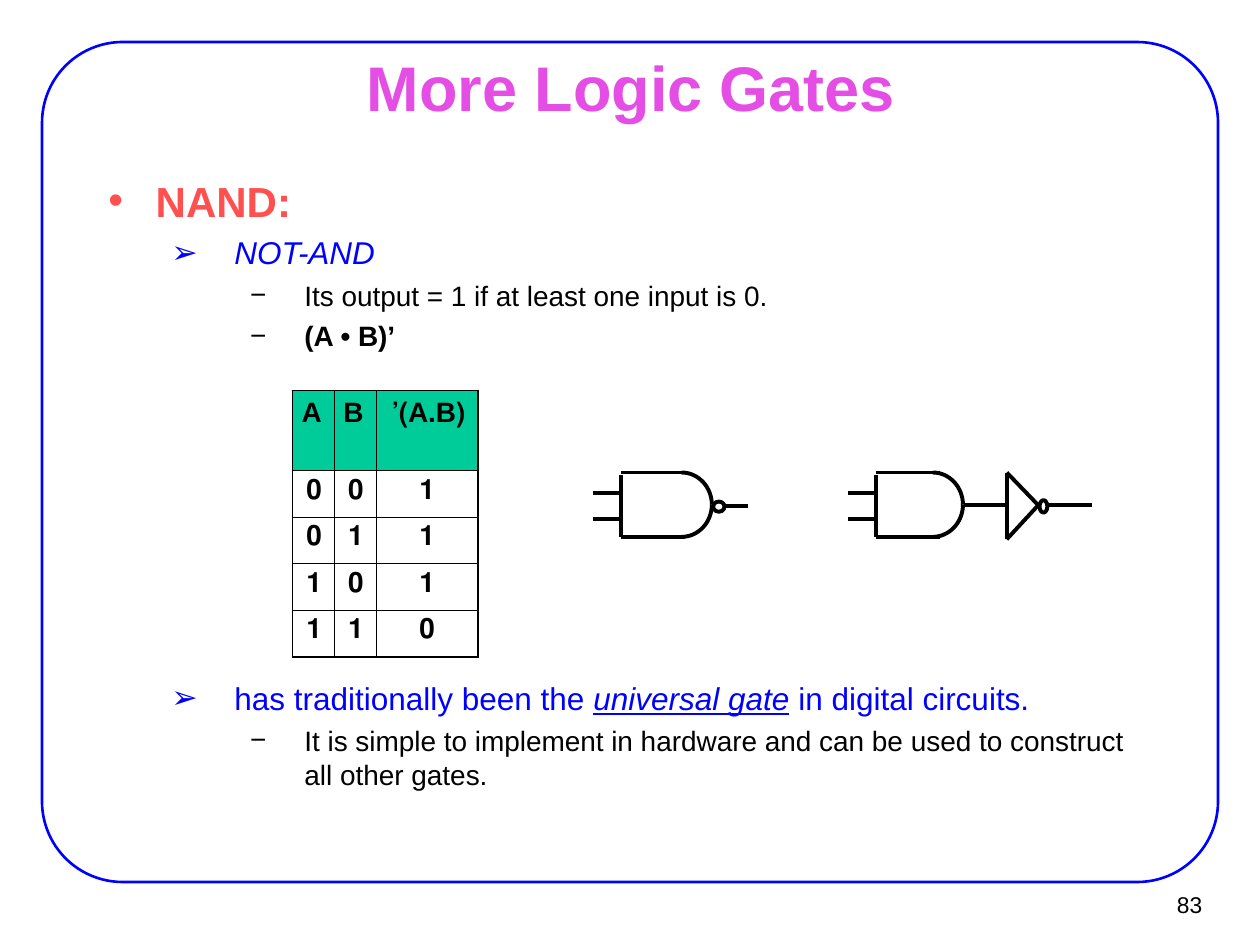
import itertools
import math
from dataclasses import dataclass

import pptx
import pptx.dml.color
import pptx.enum.shapes
import pptx.enum.text
import pptx.oxml
import pptx.oxml.ns
import pptx.util
from lxml import etree

Pt = pptx.util.Pt
RGB = pptx.dml.color.RGBColor.from_string
SHAPE = pptx.enum.shapes.MSO_SHAPE
ALIGN = pptx.enum.text.PP_ALIGN
ANCHOR = pptx.enum.text.MSO_ANCHOR
qn = pptx.oxml.ns.qn


@dataclass(frozen=True)
class Level:
    bullet: str
    margin: float
    indent: float
    size: float
    color: str
    before: float


@dataclass(frozen=True)
class Theme:
    font: str = "Arial"
    ink: str = "000000"
    frame: str = "0000FF"
    title: str = "E44EE4"
    header: str = "00CC99"
    title_size: float = 36
    table_size: float = 16
    number_size: float = 13
    frame_line: float = 1.5
    gate_line: float = 2.25
    outer_border: float = 1.08
    inner_border: float = 0.45
    levels: tuple = (
        Level("•", 27, -27, 24, "FF5050", 0),
        Level("➢", 72, -36, 18, "0000FF", 4.5),
        Level("−", 112, -31, 16, "000000", 4),
    )


class SlideBuilder:
    def __init__(self, s, theme):
        self.s, self.theme = s, theme

    def run(self, p, text, size, color, bold=False, italic=False, underline=False):
        r = p.add_run()
        r.text = text
        f = r.font
        f.name, f.size, f.color.rgb = self.theme.font, Pt(size), RGB(color)
        f.bold, f.italic, f.underline = bold, italic, underline

    def frame_text(self, tf, insets, anchor=ANCHOR.TOP, wrap=True):
        tf.word_wrap, tf.vertical_anchor = wrap, anchor
        tf.auto_size = pptx.enum.text.MSO_AUTO_SIZE.NONE
        tf.margin_left = tf.margin_right = Pt(insets[0])
        tf.margin_top = tf.margin_bottom = Pt(insets[1])
        return tf

    def border(self, left, top, width, height):
        sp = self.outline(self.s.shapes, SHAPE.ROUNDED_RECTANGLE, left, top, width, height,
                          self.theme.frame, self.theme.frame_line)
        sp.adjustments[0] = 0.096

    def title(self, text, left, top, width, height):
        sp = self.s.shapes.title
        sp.left, sp.top, sp.width, sp.height = Pt(left), Pt(top), Pt(width), Pt(height)
        p = self.frame_text(sp.text_frame, (8, 4), ANCHOR.MIDDLE).paragraphs[0]
        p.alignment = ALIGN.CENTER
        self.run(p, text, self.theme.title_size, self.theme.title, bold=True)

    def slide_number(self, text, left, top, width, height):
        sp = self.s.shapes.add_textbox(Pt(left), Pt(top), Pt(width), Pt(height))
        p = self.frame_text(sp.text_frame, (6.5, 3), ANCHOR.MIDDLE, wrap=False).paragraphs[0]
        p.alignment = ALIGN.RIGHT
        self.run(p, text, self.theme.number_size, self.theme.ink)

    def outline_list(self, items, left, top, width, height):
        """Items are (level, runs, space before or None for the level's own)."""
        sp = self.s.shapes.add_textbox(Pt(left), Pt(top), Pt(width), Pt(height))
        tf = self.frame_text(sp.text_frame, (8, 4.3))
        for i, (depth, runs, before) in enumerate(items):
            level = self.theme.levels[depth]
            p = tf.paragraphs[0] if i == 0 else tf.add_paragraph()
            p.level = depth
            pPr = p._p.get_or_add_pPr()
            pPr.set("marL", str(Pt(level.margin)))
            pPr.set("indent", str(Pt(level.indent)))
            color = etree.SubElement(pPr, qn("a:buClr"))
            etree.SubElement(color, qn("a:srgbClr"), val=level.color)
            etree.SubElement(pPr, qn("a:buFont"), typeface=self.theme.font)
            etree.SubElement(pPr, qn("a:buChar"), char=level.bullet)
            p.space_before = Pt(level.before if before is None else before)
            for text, style in runs:
                self.run(p, text, level.size, level.color, **style)

    def cell_border(self, cell, widths):
        tcPr = cell._tc.get_or_add_tcPr()
        for i, (side, width) in enumerate(zip("LRTB", widths)):
            ln = etree.Element(qn("a:ln" + side), w=str(Pt(width)))
            fill = etree.SubElement(ln, qn("a:solidFill"))
            etree.SubElement(fill, qn("a:srgbClr"), val=self.theme.ink)
            tcPr.insert(i, ln)

    def truth_table(self, rows, left, top, widths, heights):
        t = self.theme
        tbl = self.s.shapes.add_table(len(rows), len(widths), Pt(left), Pt(top),
                                      Pt(sum(widths)), Pt(sum(heights))).table
        tbl.first_row = tbl.horz_banding = False
        for col, width in zip(tbl.columns, widths):
            col.width = Pt(width)
        for row, height in zip(tbl.rows, heights):
            row.height = Pt(height)
        last_row, last_col = len(rows) - 1, len(widths) - 1
        for i, j in itertools.product(range(len(rows)), range(len(widths))):
            cell = tbl.cell(i, j)
            cell.margin_left = cell.margin_right = Pt(7.2)
            cell.margin_top = cell.margin_bottom = Pt(3.6)
            if i == 0:
                cell.fill.solid()
                cell.fill.fore_color.rgb = RGB(t.header)
            else:
                cell.fill.background()
            edges = (j == 0, j == last_col, i == 0, i == last_row)
            self.cell_border(cell, [t.outer_border if e else t.inner_border for e in edges])
            p = cell.text_frame.paragraphs[0]
            p.alignment = ALIGN.CENTER if i and j == last_col else ALIGN.RIGHT
            p._p.get_or_add_pPr().set("rtl", "1")
            self.run(p, rows[i][j], t.table_size, t.ink, bold=True)

    def outline(self, shapes, kind, left, top, width, height, color, line):
        sp = shapes.add_shape(kind, Pt(left), Pt(top), Pt(width), Pt(height))
        return self.stroke(sp, color, line)

    def stroke(self, sp, color, line):
        sp.shadow.inherit = False
        sp.fill.background()
        sp.line.color.rgb, sp.line.width = RGB(color), Pt(line)
        return sp

    def wire(self, shapes, x1, y1, x2, y2):
        c = shapes.add_connector(pptx.enum.shapes.MSO_CONNECTOR.STRAIGHT,
                                 Pt(x1), Pt(y1), Pt(x2), Pt(y2))
        c.line.color.rgb, c.line.width = RGB(self.theme.ink), Pt(self.theme.gate_line)
        etree.SubElement(c._element.spPr, qn("a:effectLst"))

    def bubble(self, shapes, left, top, width, height):
        self.outline(shapes, SHAPE.OVAL, left, top, width, height,
                     self.theme.ink, self.theme.gate_line)

    def quarter_arc(self, shapes, cx, cy, rx, ry, start):
        angles = [math.radians(start + 90 * k / 16) for k in range(17)]
        points = [(Pt(cx + rx * math.cos(a)), Pt(cy + ry * math.sin(a))) for a in angles]
        fb = shapes.build_freeform(*points[0])
        fb.add_line_segments(points[1:], close=False)
        self.stroke(fb.convert_to_shape(), self.theme.ink, self.theme.gate_line)

    def and_gate(self, shapes, x, dome):
        """Draw the inputs and body; dome is the distance from x to the arc's centre."""
        top, bottom, back = 270, 306.8, x + 15.8
        for y in (281.5, 296.8):
            self.wire(shapes, x, y, back, y)
        for y in (top, bottom):
            self.wire(shapes, back, y, x + 52.4, y)
        self.wire(shapes, back, top + 1.4, back, bottom)
        for start in (-90, 0):
            self.quarter_arc(shapes, x + dome, (top + bottom) / 2, 17.3, (bottom - top) / 2, start)

    def nand_gate(self, x):
        shapes = self.s.shapes.add_group_shape().shapes
        self.and_gate(shapes, x, 50.4)
        self.bubble(shapes, x + 68.4, 286.6, 6.5, 5.8)
        self.wire(shapes, x + 75.6, 289.4, x + 88.6, 289.4)

    def and_with_inverter(self, x):
        shapes = self.s.shapes.add_group_shape().shapes
        self.and_gate(shapes, x, 48.4)
        mid, back, tip = 288.7, x + 90.7, x + 108.7
        corners = [(back, 270), (tip, mid), (back, 308.2)]
        for a, b in zip(corners, corners[1:] + corners[:1]):
            self.wire(shapes, *a, *b)
        self.wire(shapes, x + 66.2, mid, back, mid)
        self.wire(shapes, x + 114.5, mid, x + 139.7, mid)
        self.bubble(shapes, x + 109.4, 285.8, 4.5, 7.2)


def main():
    prs = pptx.Presentation()
    prs.slide_width, prs.slide_height = Pt(720), Pt(540)
    b = SlideBuilder(prs.slides.add_slide(prs.slide_layouts[5]), Theme())
    b.border(24, 24, 672, 480)
    b.slide_number("83", 649.5, 503.3, 44, 26.6)
    b.title("More Logic Gates", 54.7, 31.7, 612, 35.3)
    b.outline_list([
        (0, [("NAND:", {"bold": True})], None),
        (1, [("NOT-AND", {"italic": True})], None),
        (2, [("Its output = 1 if at least one input is 0.", {})], None),
        (2, [("(A • B)’", {"bold": True})], None),
        (1, [("has traditionally been the ", {}),
             ("universal gate", {"italic": True, "underline": True}),
             (" in digital circuits.", {})], 186.5),
        (2, [("It is simple to implement in hardware and can be used "
              "to construct all other gates.", {})], None),
    ], 54, 95.8, 612, 365.8)
    truth = [(str(x), str(y), str(1 - x * y)) for x, y in itertools.product((0, 1), repeat=2)]
    b.truth_table([("A", "B", "(A.B)’")] + truth, 167.2, 223.2,
                  [23.9, 23.9, 58.2], [45.8] + [26.6] * 4)
    b.nand_gate(339.1)
    b.and_with_inverter(484.6)
    prs.save("out.pptx")


if __name__ == "__main__":
    main()
